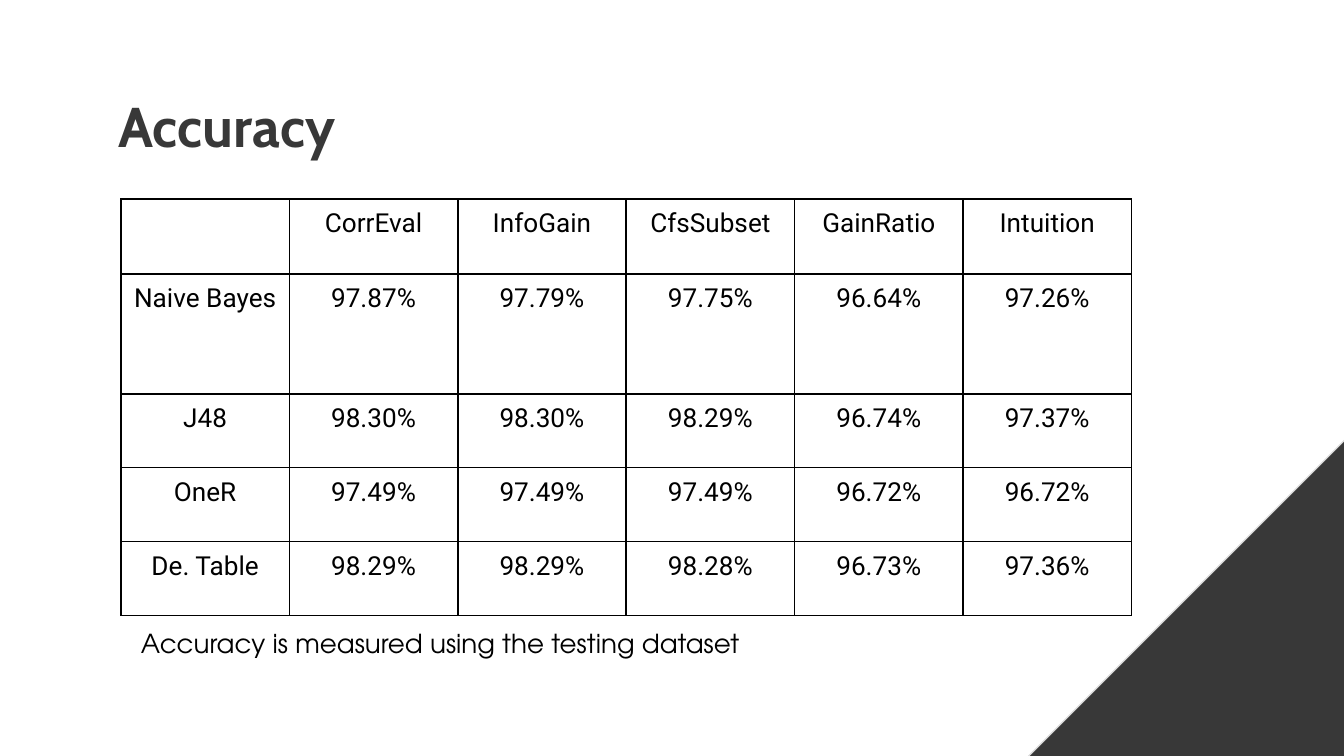
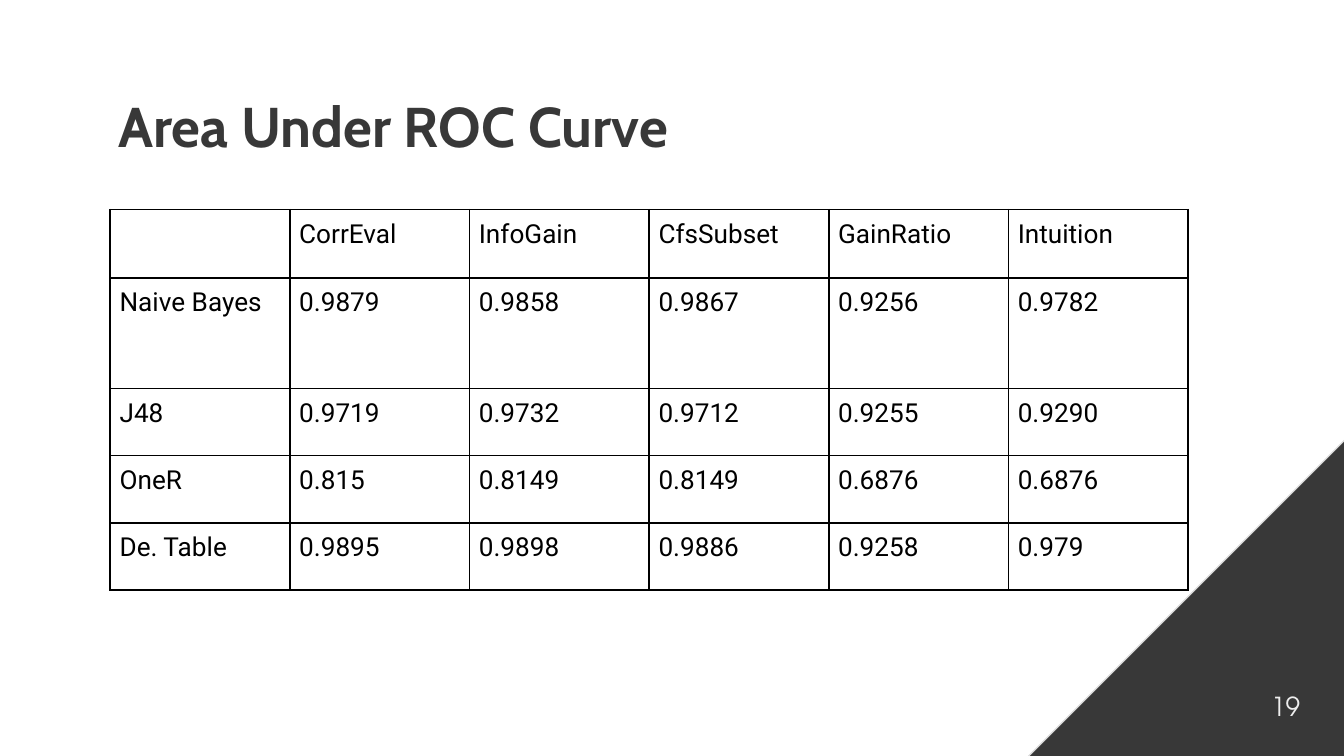
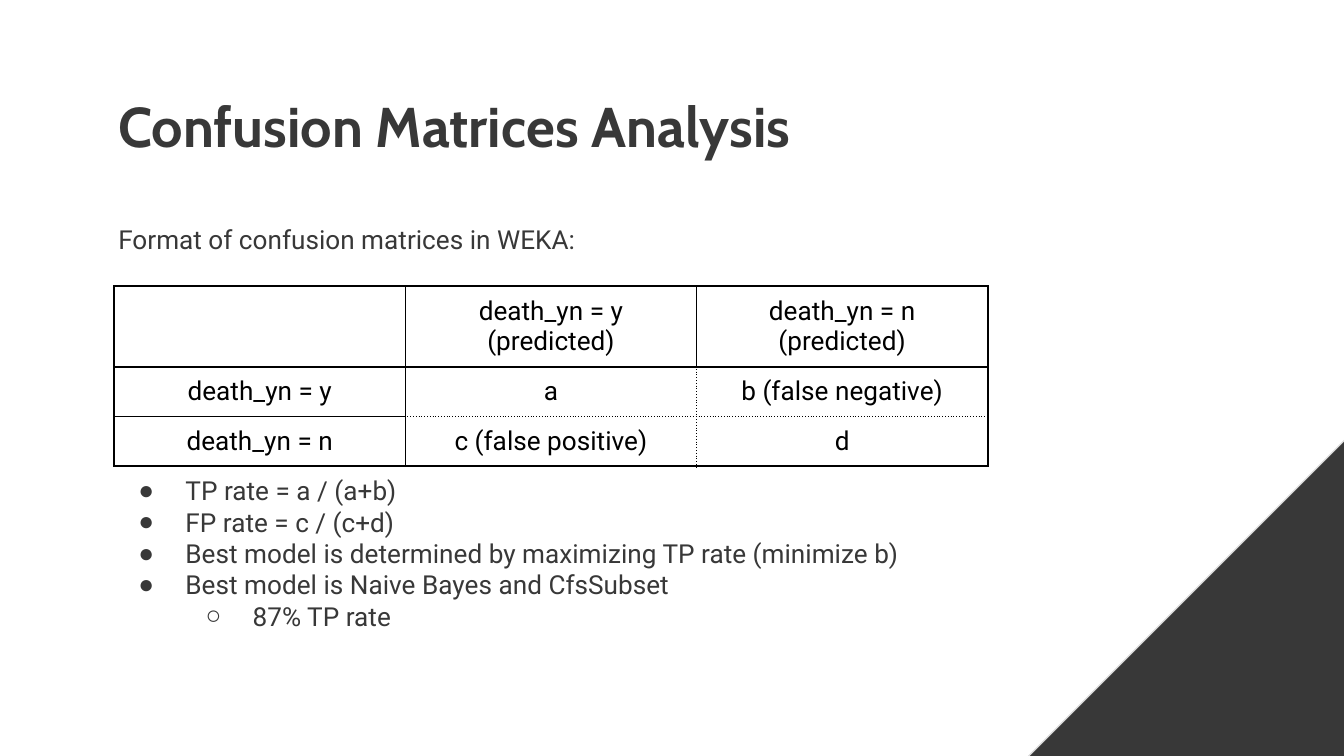
"""Build three slides on model accuracy, ROC area and confusion matrices."""
import lxml.etree
import pptx
import pptx.dml.color
import pptx.enum.shapes
import pptx.enum.text
import pptx.oxml.ns
import pptx.util

Inches = pptx.util.Inches
Pt = pptx.util.Pt
Align = pptx.enum.text.PP_ALIGN
qn = pptx.oxml.ns.qn


def tint(code):
    return pptx.dml.color.RGBColor.from_string(code)


def child(node, tag, **attrs):
    return lxml.etree.SubElement(node, qn(tag), attrs)


class Deck:
    DARK, BLACK, EDGE, PALE = "383838", "000000", "DBDBDB", "EEEEEE"
    HEAD, BODY, NOTE = "Cabin", "Roboto", "TeX Gyre Adventor"
    TITLE_ONLY, TITLE_BODY = 5, 1

    def __init__(self):
        self.prs = pptx.Presentation()
        self.prs.slide_width = Inches(10)
        self.prs.slide_height = Inches(10) * 9 // 16
        self.slide = None

    def page(self, title, width, layout=TITLE_ONLY):
        self.slide = self.prs.slides.add_slide(self.prs.slide_layouts[layout])
        if len(self.prs.slides) == 1:
            self.corner()
        shape = self.slide.shapes.title
        self.place(shape, 0.78, 0.58, width, 0.58)
        shape.text_frame.text = title
        self.style(shape.text_frame.paragraphs[0], self.HEAD, 30, self.DARK, True)

    def corner(self):
        kind = pptx.enum.shapes.MSO_SHAPE.RIGHT_TRIANGLE
        side = Inches(5.25)
        shape = self.slide.shapes.add_shape(kind, Inches(6.35), Inches(1.68), side, side)
        shape.shadow.inherit = False
        shape.fill.solid()
        shape.fill.fore_color.rgb = tint(self.DARK)
        shape.line.color.rgb = tint(self.EDGE)
        shape.line.width = Pt(0.75)
        node = shape.element
        node.spPr.xfrm.set("flipH", "1")
        node.nvSpPr.cNvPr.set("id", "99")
        self.prs.slide_master.shapes.element.insert(2, node)

    def place(self, shape, left, top, width, height):
        shape.left, shape.top = Inches(left), Inches(top)
        shape.width, shape.height = Inches(width), Inches(height)
        frame = shape.text_frame
        frame.word_wrap = True
        frame.auto_size = pptx.enum.text.MSO_AUTO_SIZE.NONE
        frame.vertical_anchor = pptx.enum.text.MSO_ANCHOR.TOP
        frame.margin_left = frame.margin_right = Inches(0.1)
        frame.margin_top = frame.margin_bottom = Inches(0.1)

    def style(self, para, font, size, color, bold=False, align=Align.LEFT):
        para.alignment = align
        para.space_before = Pt(0)
        for run in para.runs:
            run.font.name = font
            run.font.size = Pt(size)
            run.font.bold = bold
            run.font.color.rgb = tint(color)

    def note(self, text, left, top, width, color):
        box = self.slide.shapes.add_textbox(0, 0, 0, 0)
        self.place(box, left, top, width, 0.44)
        box.text_frame.text = text
        self.style(box.text_frame.paragraphs[0], self.NOTE, 14, color)

    def list(self, lead, items, gap):
        shape = self.slide.placeholders[1]
        self.place(shape, 0.78, 1.56, 6.64, 3.56)
        frame = shape.text_frame
        frame.text = lead
        para = frame.paragraphs[0]
        self.style(para, self.BODY, 14, self.DARK)
        self.bullet(para, 0, 0)
        for i, (level, text) in enumerate(items):
            para = frame.add_paragraph()
            para.text = text
            para.level = level
            self.style(para, self.BODY, 14, self.DARK)
            if i == 0:
                para.space_before = Pt(gap)
            self.bullet(para, 0.5 + 0.5 * level, -0.35, "●○"[level])

    def bullet(self, para, left, hang, mark=None):
        props = para._p.get_or_add_pPr()
        props.set("marL", str(Inches(left)))
        props.set("indent", str(Inches(hang)))
        if mark:
            child(child(props, "a:buClr"), "a:srgbClr", val=self.DARK)
            child(props, "a:buChar", char=mark)
        else:
            child(props, "a:buNone")

    def table(self, rows, left, top, width, heights, align, dots=False):
        count, span = len(rows), len(rows[0])
        frame = self.slide.shapes.add_table(
            count, span, Inches(left), Inches(top),
            Inches(width), Inches(sum(heights)))
        grid = frame.table
        grid.first_row = grid.horz_banding = False
        for col in grid.columns:
            col.width = Inches(width / span)
        for r, row in enumerate(rows):
            grid.rows[r].height = Inches(heights[r])
            for c, text in enumerate(row):
                cell = grid.cell(r, c)
                cell.margin_left = cell.margin_right = Inches(0.07)
                cell.margin_top = cell.margin_bottom = Inches(0.07)
                cell.fill.background()
                cell.text_frame.text = text
                self.style(cell.text_frame.paragraphs[0], self.BODY, 14,
                           self.BLACK, align=align)
                data = dots and r > 0 and c > 0
                self.border(cell, {
                    "L": data and c > 1, "R": data and c < span - 1,
                    "T": data and r > 1, "B": data and r < count - 1})

    def border(self, cell, sides):
        props = cell._tc.get_or_add_tcPr()
        for i, (side, dot) in enumerate(sides.items()):
            line = child(props, "a:ln" + side, w=str(Pt(1)))
            child(child(line, "a:solidFill"), "a:srgbClr", val=self.BLACK)
            child(line, "a:prstDash", val="dot" if dot else "solid")
            props.insert(i, line)


def main():
    deck = Deck()
    head = ["", "CorrEval", "InfoGain", "CfsSubset", "GainRatio", "Intuition"]

    deck.page("Accuracy", 7.11)
    rates = [
        head,
        ["Naive Bayes", "97.87%", "97.79%", "97.75%", "96.64%", "97.26%"],
        ["J48", "98.30%", "98.30%", "98.29%", "96.74%", "97.37%"],
        ["OneR", "97.49%", "97.49%", "97.49%", "96.72%", "96.72%"],
        ["De. Table", "98.29%", "98.29%", "98.28%", "96.73%", "97.36%"],
    ]
    deck.table(rates, 0.9, 1.48, 7.52, [0.56, 0.89, 0.55, 0.55, 0.55], Align.CENTER)
    deck.note("Accuracy is measured using the testing dataset", 0.95, 4.57, 7.11, deck.BLACK)

    deck.page("Area Under ROC Curve", 6.31)
    areas = [
        head,
        ["Naive Bayes", "0.9879", "0.9858", "0.9867", "0.9256", "0.9782"],
        ["J48", "0.9719", "0.9732", "0.9712", "0.9255", "0.9290"],
        ["OneR", "0.815", "0.8149", "0.8149", "0.6876", "0.6876"],
        ["De. Table", "0.9895", "0.9898", "0.9886", "0.9258", "0.979"],
    ]
    deck.table(areas, 0.82, 1.56, 8.02, [0.51, 0.82, 0.5, 0.5, 0.5], Align.LEFT)
    deck.note("19", 9.36, 5.04, 2.08, deck.PALE)

    deck.page("Confusion Matrices Analysis", 7.08, deck.TITLE_BODY)
    points = [
        (0, "TP rate = a / (a+b)"),
        (0, "FP rate = c / (c+d)"),
        (0, "Best model is determined by maximizing TP rate (minimize b)"),
        (0, "Best model is Naive Bayes and CfsSubset"),
        (1, "87% TP rate"),
    ]
    deck.list("Format of confusion matrices in WEKA:", points, 118)
    matrix = [
        ["", "death_yn = y (predicted)", "death_yn = n (predicted)"],
        ["death_yn = y", "a", "b (false negative)"],
        ["death_yn = n", "c (false positive)", "d"],
    ]
    deck.table(matrix, 0.85, 2.13, 6.5, [0.59, 0.37, 0.37], Align.CENTER, dots=True)

    deck.prs.save("out.pptx")


if __name__ == "__main__":
    main()
